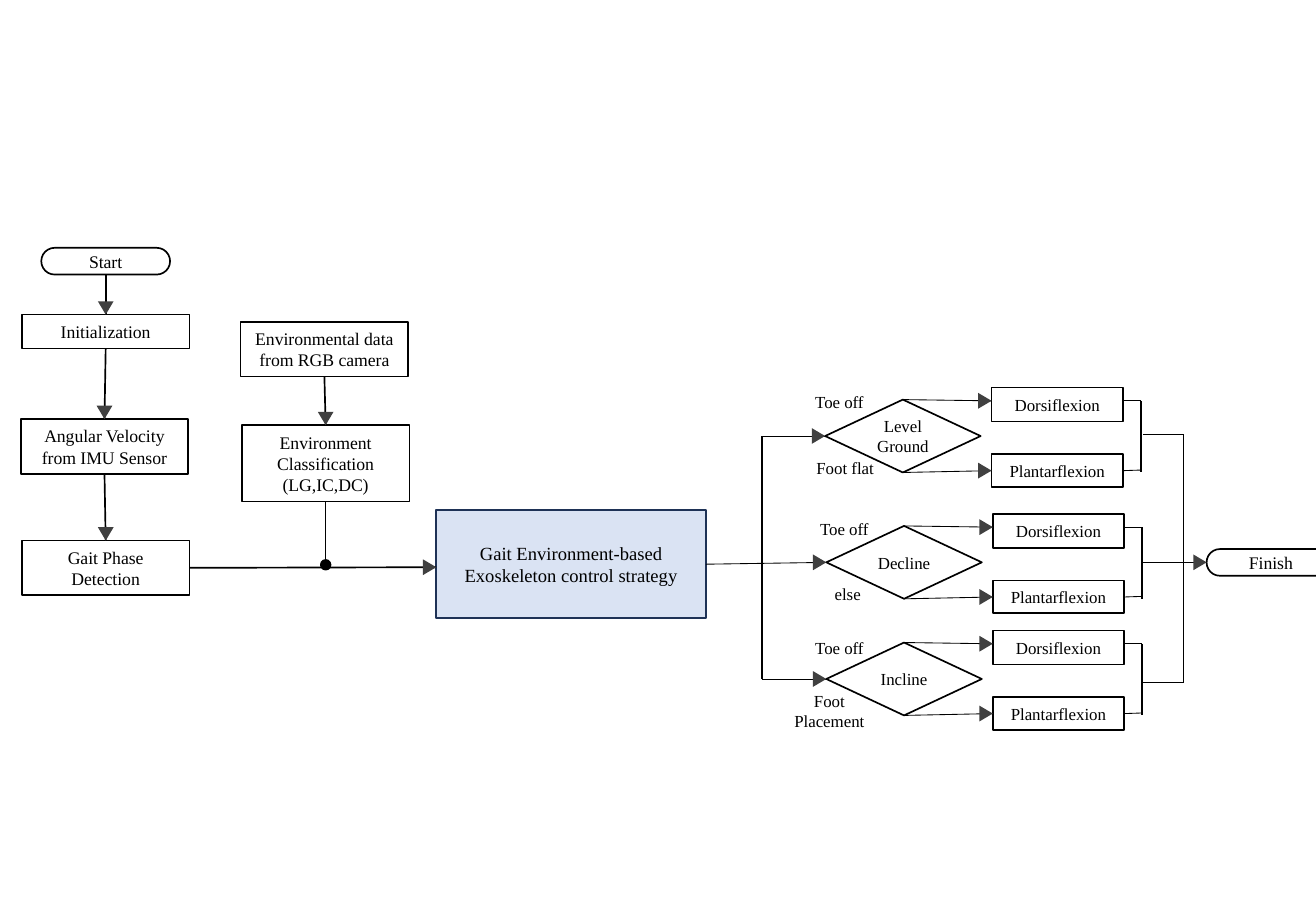
from lxml import etree
from pptx import Presentation
from pptx import util as u
from pptx.dml.color import RGBColor
from pptx.enum import shapes, text
from pptx.oxml.ns import qn

COLOURS = {"ink": "000000", "paper": "FFFFFF", "strategy": "DAE3F3",
           "strategy_edge": "1E3256", "arrow": "404040"}
KIND = shapes.MSO_SHAPE
TOP, LEFT, BOTTOM, RIGHT = range(4)


class FlowChart:
    font = "Times New Roman"
    head_width, head_length = 0.13, 0.11

    def __init__(self, slide):
        self.slide = slide

    def colour(self, name):
        return RGBColor.from_string(COLOURS[name])

    def set_words(self, shape, words, size, align):
        frame = shape.text_frame
        frame.text = words
        frame.word_wrap = True
        frame.vertical_anchor = text.MSO_ANCHOR.MIDDLE
        for paragraph in frame.paragraphs:
            paragraph.alignment = align
            for run in paragraph.runs:
                run.font.name = self.font
                run.font.size = u.Pt(size)
                run.font.color.rgb = self.colour("ink")

    def shape(self, kind, x, y, w, h, fill="paper", edge="ink"):
        shape = self.slide.shapes.add_shape(kind, *map(u.Inches, (x, y, w, h)))
        shape.shadow.inherit = False
        shape.fill.solid()
        shape.fill.fore_color.rgb = self.colour(fill)
        if edge:
            shape.line.color.rgb = self.colour(edge)
            shape.line.width = u.Pt(1)
        else:
            shape.line.fill.background()
        return shape

    def box(self, words, x, y, w, h, size=10.5, kind=KIND.RECTANGLE, **style):
        shape = self.shape(kind, x, y, w, h, **style)
        self.set_words(shape, words, size, text.PP_ALIGN.CENTER)
        return shape

    def terminal(self, words, x, y):
        shape = self.box(words, x, y, 1.06, 0.22, kind=KIND.ROUNDED_RECTANGLE)
        shape.adjustments[0] = 0.5
        return shape

    def decision(self, words, x, y):
        shape = self.box(words, x, y, 1.28, 0.6, 10, KIND.FLOWCHART_DECISION)
        shape.text_frame.margin_left = shape.text_frame.margin_right = 0
        return shape

    def label(self, words, x, y, w, h, align):
        area = self.slide.shapes.add_textbox(*map(u.Inches, (x, y, w, h)))
        self.set_words(area, words, 10, align)

    def point(self, place):
        owner, site = place
        if isinstance(owner, (int, float)):
            return u.Inches(owner), u.Inches(site)
        across = {TOP: 0.5, LEFT: 0, BOTTOM: 0.5, RIGHT: 1}[site]
        down = {TOP: 0, LEFT: 0.5, BOTTOM: 1, RIGHT: 0.5}[site]
        return (int(owner.left + owner.width * across),
                int(owner.top + owner.height * down))

    def link(self, start, end, weight=0.5, head=None):
        tip = self.point(end)
        line = self.slide.shapes.add_connector(
            shapes.MSO_CONNECTOR.STRAIGHT, *self.point(start), *tip)
        line.line.color.rgb = self.colour("ink")
        line.line.width = u.Pt(weight)
        etree.SubElement(line._element.spPr, qn("a:effectLst"))
        for (owner, site), join in ((start, line.begin_connect), (end, line.end_connect)):
            if not isinstance(owner, (int, float)):
                join(owner, site)
        if head:
            self.arrowhead(u.Emu(tip[0]).inches, u.Emu(tip[1]).inches, head)

    def arrowhead(self, x, y, head):
        half = self.head_length / 2
        x, y = (x - half, y) if head == "right" else (x, y - half)
        triangle = self.shape(KIND.ISOSCELES_TRIANGLE, x - self.head_width / 2, y - half,
                              self.head_width, self.head_length, "arrow", None)
        triangle.rotation = {"right": 90, "down": 180}[head]

    def branch(self, name, x, y, upper, lower):
        choice = self.decision(name, x, y)
        for words, dx, dy, w, h, align in (upper, lower):
            self.label(words, x + dx, y + dy, w, h, align)
        box_x, bracket_x = x + 1.37, x + 2.6
        self.box("Dorsiflexion", box_x, y - 0.1, 1.08, 0.28, 10)
        plantar = self.box("Plantarflexion", box_x, y + 0.45, 1.08, 0.27, 10)
        self.link((choice, TOP), (box_x, y + 0.01), head="right")
        self.link((choice, BOTTOM), (plantar, LEFT), head="right")
        self.link((x + 2.45, y + 0.01), (bracket_x, y + 0.01))
        self.link((plantar, RIGHT), (bracket_x, y + 0.58))
        self.link((bracket_x, y + 0.01), (bracket_x, y + 0.6), 1)
        return choice


def main():
    deck = Presentation()
    deck.slide_width, deck.slide_height = u.Inches(10.83), u.Inches(7.5)
    chart = FlowChart(deck.slides.add_slide(deck.slide_layouts[6]))

    start = chart.terminal("Start", 0.34, 2.04)
    initialization = chart.box("Initialization", 0.18, 2.59, 1.38, 0.28)
    velocity = chart.box("Angular Velocity from IMU Sensor", 0.17, 3.45, 1.38, 0.45)
    phase = chart.box("Gait Phase Detection", 0.18, 4.45, 1.38, 0.45)
    camera = chart.box("Environmental data from RGB camera", 1.98, 2.65, 1.38, 0.45)
    classification = chart.box("Environment Classification\n(LG,IC,DC)",
                               1.99, 3.5, 1.38, 0.63)
    junction = chart.shape(KIND.OVAL, 2.64, 4.61, 0.08, 0.08, "ink")
    strategy = chart.box("Gait Environment-based\nExoskeleton control strategy",
                         3.59, 4.2, 2.22, 0.89, 11,
                         fill="strategy", edge="strategy_edge")
    finish = chart.terminal("Finish", 9.93, 4.52)

    for above, below in ((start, initialization), (initialization, velocity),
                         (velocity, phase), (camera, classification)):
        chart.link((above, BOTTOM), (below, TOP), 1, "down")
    chart.link((classification, BOTTOM), (junction, TOP), 1)
    chart.link((phase, RIGHT), (3.59, 4.67), 1, "right")

    left, center = text.PP_ALIGN.LEFT, text.PP_ALIGN.CENTER
    level = chart.branch("Level Ground", 6.79, 3.29,
                         ("Toe off", -0.18, -0.12, 0.65, 0.27, left),
                         ("Foot flat", -0.17, 0.43, 0.69, 0.27, left))
    decline = chart.branch("Decline", 6.8, 4.33,
                           ("Toe off", -0.15, -0.11, 0.65, 0.27, left),
                           ("else", -0.03, 0.42, 0.69, 0.27, left))
    incline = chart.branch("Incline", 6.8, 5.29,
                           ("Toe off", -0.19, -0.09, 0.65, 0.27, left),
                           ("Foot Placement", -0.41, 0.34, 0.87, 0.44, center))

    split_x, merge_x = 6.27, 9.74
    chart.link((strategy, RIGHT), (decline, LEFT), head="right")
    for choice, y in ((level, 3.59), (incline, 5.59)):
        chart.link((split_x, y), (choice, LEFT), head="right")
    chart.link((split_x, 3.59), (split_x, 5.59), 1)

    for y in (3.58, 5.62):
        chart.link((9.41, y), (merge_x, y))
    chart.link((merge_x, 3.58), (merge_x, 5.62), 1)
    chart.link((9.41, 4.63), (finish, LEFT), head="right")

    deck.save("out.pptx")


if __name__ == "__main__":
    main()
